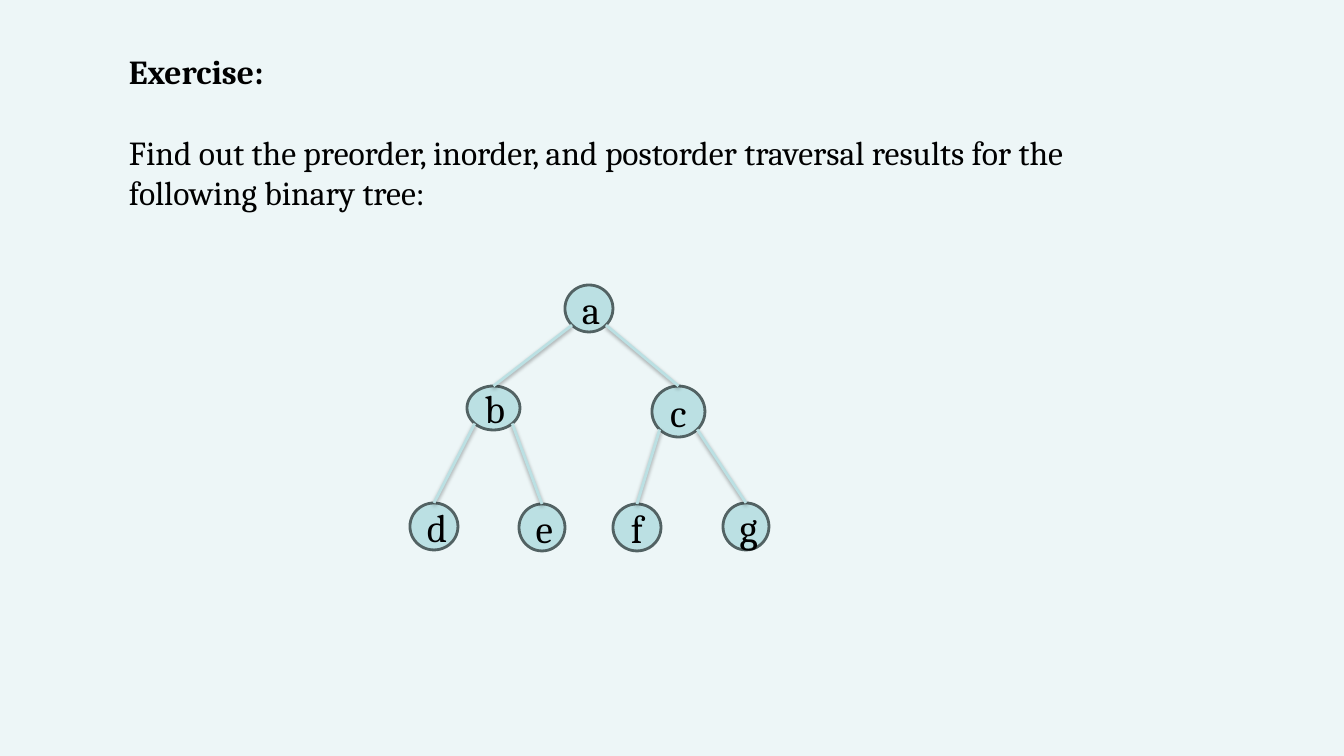
"""Builds the binary tree traversal exercise slide."""
import math

from lxml import etree
from pptx import Presentation
from pptx import util as u
from pptx.dml.color import RGBColor
from pptx.enum import shapes, text
from pptx.oxml.ns import qn

FONT = "Cambria"
BACKGROUND, NODE_FILL, OUTLINE, INK = "EDF6F7", "BBE0E3", "526263", "000000"
HEADING = "Exercise:"
QUESTION = [
    "Find out the preorder, inorder, and postorder traversal results for the",
    "following binary tree:",
]
NODES = {
    "a": (565, 285, 48, 47),
    "b": (467, 386, 53, 44),
    "c": (652, 386, 53, 51),
    "d": (410, 503, 48, 47),
    "e": (519, 504, 46, 47),
    "f": (613, 504, 48, 47),
    "g": (723, 503, 46, 47),
}
CHILDREN = {"a": "bc", "b": "de", "c": "fg"}


def px(length):
    return round(length * 914400 / 100.8)


def color(value):
    return RGBColor.from_string(value)


def set_font(paragraph, size, bold=False):
    font = paragraph.font
    font.name, font.size, font.bold = FONT, u.Pt(size), bold
    font.color.rgb = color(INK)


def add_text(slide):
    box = slide.shapes.add_textbox(px(119), px(46), px(974), px(173))
    frame = box.text_frame
    frame.word_wrap = False
    frame.auto_size = text.MSO_AUTO_SIZE.SHAPE_TO_FIT_TEXT
    frame.text = "\n".join([HEADING, *QUESTION])
    for index, paragraph in enumerate(frame.paragraphs):
        set_font(paragraph, 24, bold=index == 0)
    frame.paragraphs[1].space_before = u.Pt(29)


def add_node(slide, label, bounds):
    node = slide.shapes.add_shape(shapes.MSO_SHAPE.OVAL, *map(px, bounds))
    node.shadow.inherit = False
    node.fill.solid()
    node.fill.fore_color.rgb = color(NODE_FILL)
    node.line.color.rgb = color(OUTLINE)
    node.line.width = u.Pt(2)
    frame = node.text_frame
    frame.text = label
    frame.vertical_anchor = text.MSO_ANCHOR.MIDDLE
    paragraph = frame.paragraphs[0]
    paragraph.alignment = text.PP_ALIGN.CENTER
    set_font(paragraph, 28)
    return node


def add_shadow(connector):
    effects = etree.SubElement(connector._element.spPr, qn("a:effectLst"))
    shadow = etree.SubElement(
        effects, qn("a:outerShdw"), blurRad=str(u.Pt(3.1)), dist=str(u.Pt(1.6)),
        dir="5400000", rotWithShape="0")
    shade = etree.SubElement(shadow, qn("a:srgbClr"), val=INK)
    etree.SubElement(shade, qn("a:alpha"), val="38000")


def add_edge(slide, parent, child, side):
    reach = math.sqrt(0.5)
    start_x = parent.left + round(parent.width * (1 + side * reach) / 2)
    start_y = parent.top + round(parent.height * (1 + reach) / 2)
    edge = slide.shapes.add_connector(
        shapes.MSO_CONNECTOR.STRAIGHT, start_x, start_y,
        child.left + child.width // 2, child.top)
    edge.end_connect(child, 0)
    edge.line.color.rgb = color(NODE_FILL)
    edge.line.width = u.Pt(2)
    add_shadow(edge)


def main():
    presentation = Presentation()
    presentation.slide_width, presentation.slide_height = px(1344), px(756)
    slide = presentation.slides.add_slide(presentation.slide_layouts[6])
    slide.background.fill.solid()
    slide.background.fill.fore_color.rgb = color(BACKGROUND)
    add_text(slide)
    nodes = {label: add_node(slide, label, bounds) for label, bounds in NODES.items()}
    for parent, children in CHILDREN.items():
        for child, side in zip(children, (-1, 1)):
            add_edge(slide, nodes[parent], nodes[child], side)
    presentation.save("out.pptx")


if __name__ == "__main__":
    main()
